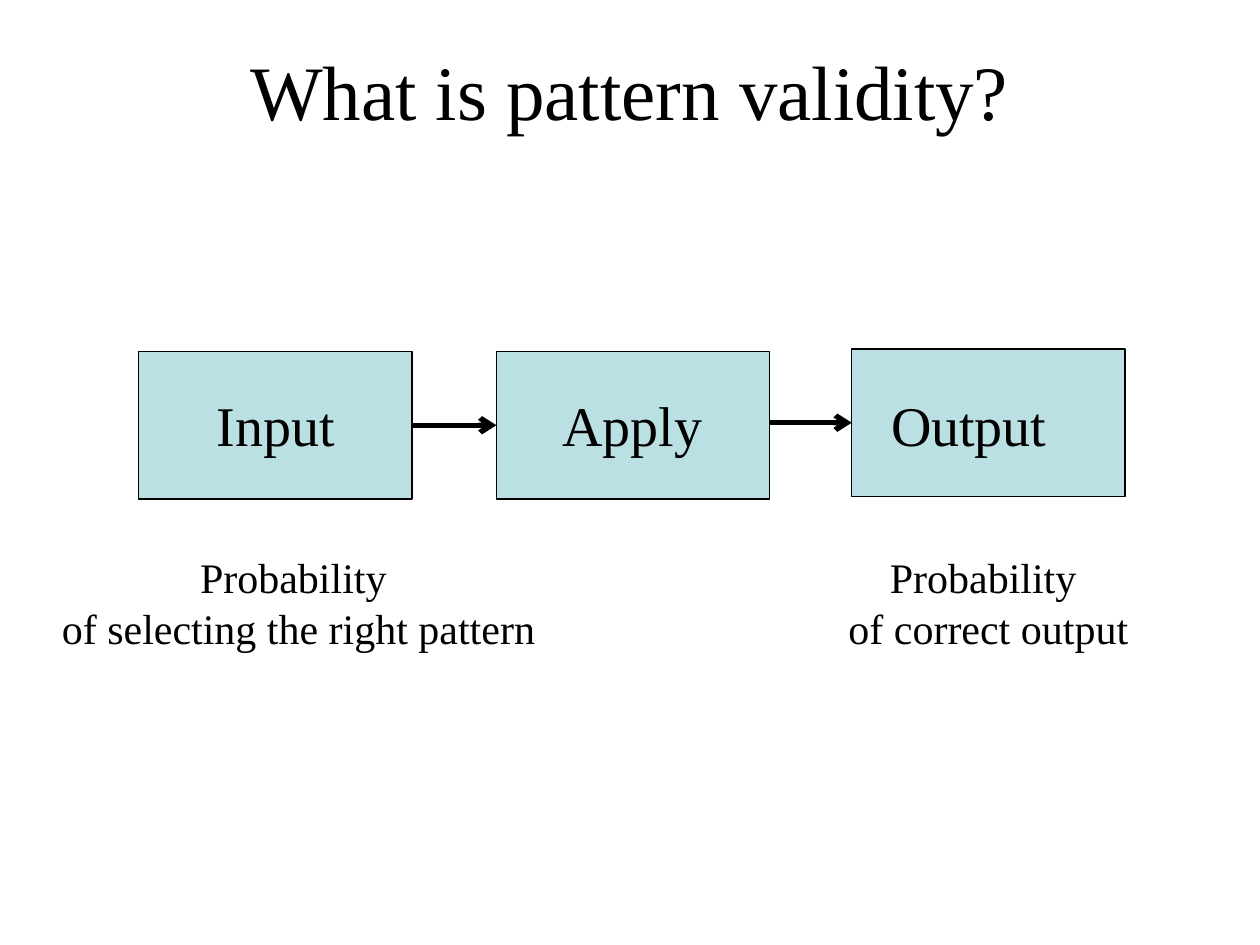
import dataclasses

import lxml.etree
import pptx
import pptx.dml.color
import pptx.enum.shapes
import pptx.enum.text
import pptx.oxml.ns
import pptx.util

Inches = pptx.util.Inches
Pt = pptx.util.Pt
RGB = pptx.dml.color.RGBColor


@dataclasses.dataclass(frozen=True)
class Theme:
    font: str = "Times New Roman"
    ink: RGB = RGB(0, 0, 0)
    stage_fill: RGB = RGB(0xBB, 0xE0, 0xE3)
    title_size: int = 44
    stage_size: int = 32
    caption_size: int = 24
    outline: float = 0.75
    arrow: float = 3


THEME = Theme()


def add_text(slide, lines, left, top, width, height, size):
    box = slide.shapes.add_textbox(Inches(left), Inches(top), Inches(width), Inches(height))
    box.text_frame.word_wrap = True
    paragraph = box.text_frame.paragraphs[0]
    paragraph.alignment = pptx.enum.text.PP_ALIGN.CENTER
    for number, line in enumerate(lines):
        if number:
            paragraph.add_line_break()
        run = paragraph.add_run()
        run.text = line
        run.font.name = THEME.font
        run.font.size = Pt(size)
        run.font.color.rgb = THEME.ink
    return box


def add_stage(slide, left, top):
    stage = slide.shapes.add_shape(
        pptx.enum.shapes.MSO_SHAPE.RECTANGLE,
        Inches(left), Inches(top), Inches(2.17), Inches(1.17))
    stage.shadow.inherit = False
    stage.fill.solid()
    stage.fill.fore_color.rgb = THEME.stage_fill
    stage.line.color.rgb = THEME.ink
    stage.line.width = Pt(THEME.outline)
    return stage


def add_arrow(slide, source, target):
    middle = target.top + target.height // 2
    arrow = slide.shapes.add_connector(
        pptx.enum.shapes.MSO_CONNECTOR.STRAIGHT,
        source.left + source.width, middle, target.left, middle)
    if source.top == target.top:
        arrow.begin_connect(source, 3)
    arrow.end_connect(target, 1)
    arrow.line.color.rgb = THEME.ink
    arrow.line.width = Pt(THEME.arrow)
    qn = pptx.oxml.ns.qn
    lxml.etree.SubElement(arrow.line._get_or_add_ln(), qn("a:tailEnd"), type="arrow")
    lxml.etree.SubElement(arrow._element.spPr, qn("a:effectLst"))


def main():
    deck = pptx.Presentation()
    deck.slide_width = Inches(10)
    deck.slide_height = Inches(7.5)
    slide = deck.slides.add_slide(deck.slide_layouts[6])

    add_text(slide, ["What is pattern validity?"], 0.5, 0.3, 9, 1.25, THEME.title_size)

    stages = [add_stage(slide, left, top)
              for left, top in ((1.1, 2.79), (3.94, 2.79), (6.76, 2.77))]
    for label, left in (("Input", 1.44), ("Apply", 4.27), ("Output", 6.94)):
        add_text(slide, [label], left, 3.05, 1.5, 0.64, THEME.stage_size)
    for source, target in zip(stages, stages[1:]):
        add_arrow(slide, source, target)

    captions = (
        ("of selecting the right pattern", 0.33, 4.08),
        ("of correct output", 6.46, 2.77),
    )
    for meaning, left, width in captions:
        add_text(slide, ["Probability ", meaning], left, 4.33, width, 0.91, THEME.caption_size)

    deck.save("out.pptx")


if __name__ == "__main__":
    main()
